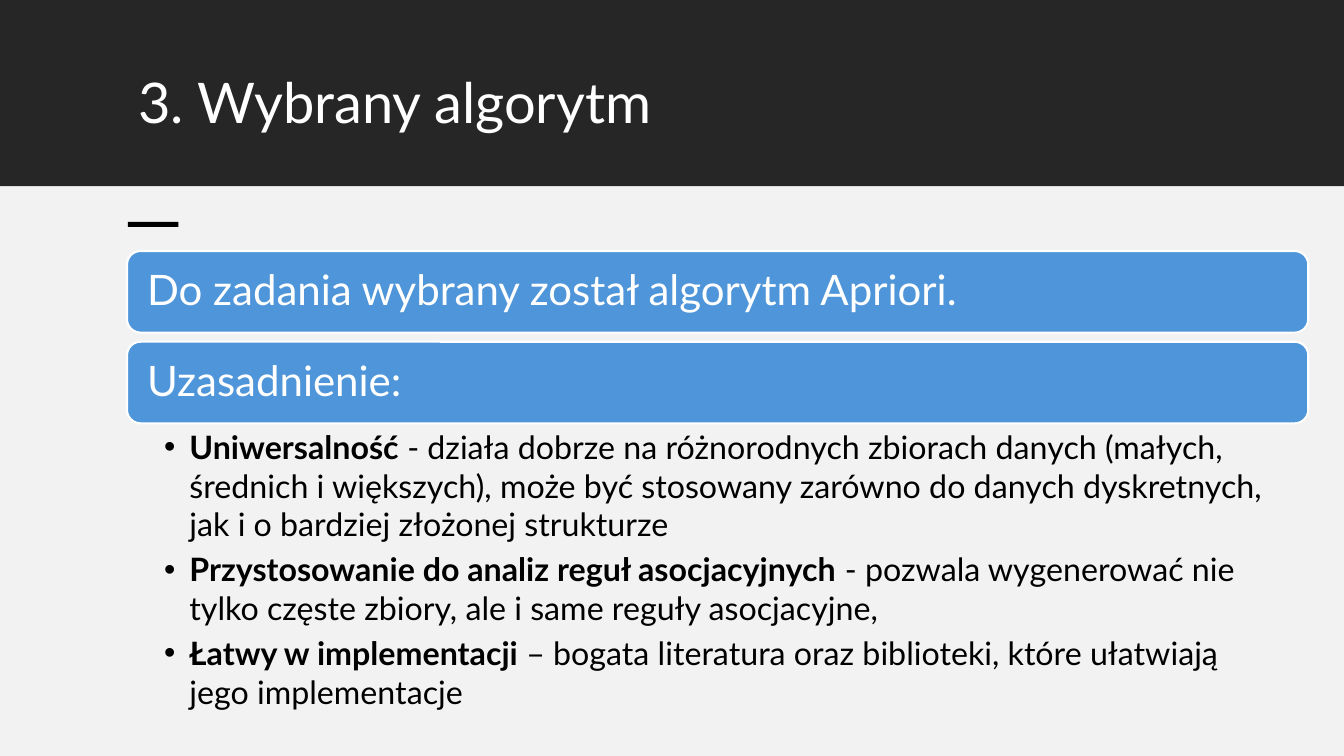
"""Build the slide that presents the chosen algorithm and the reasons for it."""
from dataclasses import dataclass

from lxml import etree
from pptx import Presentation
from pptx.dml import color
from pptx.enum import shapes, text
from pptx.oxml import ns
from pptx.util import Pt

FONT = "Lato"
COLORS = {"dark": "262626", "light": "F2F2F2", "panel": "4E95D9",
          "white": "FFFFFF", "black": "000000"}
LEFT, WIDTH = 90.7, 843.8


@dataclass(frozen=True)
class Block:
    left: float
    top: float
    width: float
    height: float
    fill: str


@dataclass(frozen=True)
class Reason:
    lead: str
    detail: str


BLOCKS = [
    Block(0, 0, 960, 133.2, "dark"),
    Block(0, 133.2, 960, 406.8, "light"),
    Block(91.4, 158.4, 36, 3.6, "black"),
]
PANELS = ["Do zadania wybrany został algorytm Apriori.", "Uzasadnienie:"]
PANEL_TOP, PANEL_HEIGHT, PANEL_STEP = 179.3, 58.3, 64.8
REASONS = [
    Reason("Uniwersalność",
           " - działa dobrze na różnorodnych zbiorach danych (małych, średnich i większych), "
           "może być stosowany zarówno do danych dyskretnych, jak i o bardziej złożonej strukturze"),
    Reason("Przystosowanie do analiz reguł asocjacyjnych",
           " - pozwala wygenerować nie tylko częste zbiory, ale i same reguły asocjacyjne,"),
    Reason("Łatwy w implementacji ",
           "– bogata literatura oraz biblioteki, które ułatwiają jego implementacje"),
]


def rgb(name: str) -> color.RGBColor:
    """Return the named colour."""
    return color.RGBColor.from_string(COLORS[name])


def style_run(r, size: float, fill: str, bold: bool = False) -> None:
    """Format one run."""
    r.font.name, r.font.size, r.font.bold = FONT, Pt(size), bold
    r.font.color.rgb = rgb(fill)


def place(sp, left: float, top: float, width: float, height: float) -> None:
    """Move a shape to a position in points."""
    sp.left, sp.top, sp.width, sp.height = Pt(left), Pt(top), Pt(width), Pt(height)


def set_frame(tf, anchor, left: float, top: float, right: float, bottom: float) -> None:
    """Set the anchor, margins and wrapping of a text frame."""
    tf.auto_size = text.MSO_AUTO_SIZE.NONE
    tf.word_wrap, tf.vertical_anchor = True, anchor
    tf.margin_left, tf.margin_top = Pt(left), Pt(top)
    tf.margin_right, tf.margin_bottom = Pt(right), Pt(bottom)


def add_block(s, block: Block, kind=shapes.MSO_SHAPE.RECTANGLE):
    """Draw a filled shape without an outline."""
    sp = s.shapes.add_shape(kind, Pt(block.left), Pt(block.top),
                            Pt(block.width), Pt(block.height))
    sp.shadow.inherit = False
    sp.fill.solid()
    sp.fill.fore_color.rgb = rgb(block.fill)
    sp.line.fill.background()
    return sp


def add_panel(s, label: str, top: float) -> None:
    """Draw a rounded panel with its heading."""
    sp = add_block(s, Block(LEFT, top, WIDTH, PANEL_HEIGHT, "panel"),
                   shapes.MSO_SHAPE.ROUNDED_RECTANGLE)
    sp.line.color.rgb = rgb("white")
    sp.line.width = Pt(1.5)
    tf = sp.text_frame
    set_frame(tf, text.MSO_ANCHOR.MIDDLE, 11.5, 9, 11.5, 9)
    tf.text = label
    p = tf.paragraphs[0]
    p.alignment, p.line_spacing = text.PP_ALIGN.LEFT, 0.9
    style_run(p.runs[0], 30, "white")


def fill_title(sp) -> None:
    """Write the title."""
    place(sp, 91.4, 50.4, 778.3, 70.6)
    tf = sp.text_frame
    set_frame(tf, text.MSO_ANCHOR.TOP, 7.2, 3.6, 7.2, 3.6)
    tf.text = "3. Wybrany algorytm"
    p = tf.paragraphs[0]
    p.alignment, p.line_spacing = text.PP_ALIGN.LEFT, 0.9
    style_run(p.runs[0], 40, "white")


def fill_reasons(sp, reasons: list[Reason]) -> None:
    """Write the bulleted reasons."""
    place(sp, LEFT, 302.4, WIDTH, 215.3)
    tf = sp.text_frame
    set_frame(tf, text.MSO_ANCHOR.TOP, 26.6, 2.9, 16.6, 2.9)
    for i, reason in enumerate(reasons):
        p = tf.add_paragraph() if i else tf.paragraphs[0]
        p.text = reason.lead
        p.add_run().text = reason.detail
        p.space_before, p.space_after, p.line_spacing = Pt(0), Pt(4.6), 1.0
        for r, bold in zip(p.runs, (True, False)):
            style_run(r, 23, "black", bold)
        props = p._p.get_or_add_pPr()
        props.set("marL", str(Pt(18)))
        props.set("indent", str(-Pt(18)))
        etree.SubElement(props, ns.qn("a:buFont"), typeface="Arial")
        etree.SubElement(props, ns.qn("a:buChar"), char="•")


def main() -> None:
    """Build and save the slide."""
    prs = Presentation()
    prs.slide_width, prs.slide_height = Pt(960), Pt(540)
    s = prs.slides.add_slide(prs.slide_layouts[1])
    title, body = s.shapes.title, s.placeholders[1]
    for block in BLOCKS:
        add_block(s, block)
    for i, label in enumerate(PANELS):
        add_panel(s, label, PANEL_TOP + i * PANEL_STEP)
    fill_title(title)
    fill_reasons(body, REASONS)
    for sp in (title, body):
        s.shapes.element.append(sp.element)
    prs.save("out.pptx")


if __name__ == "__main__":
    main()
